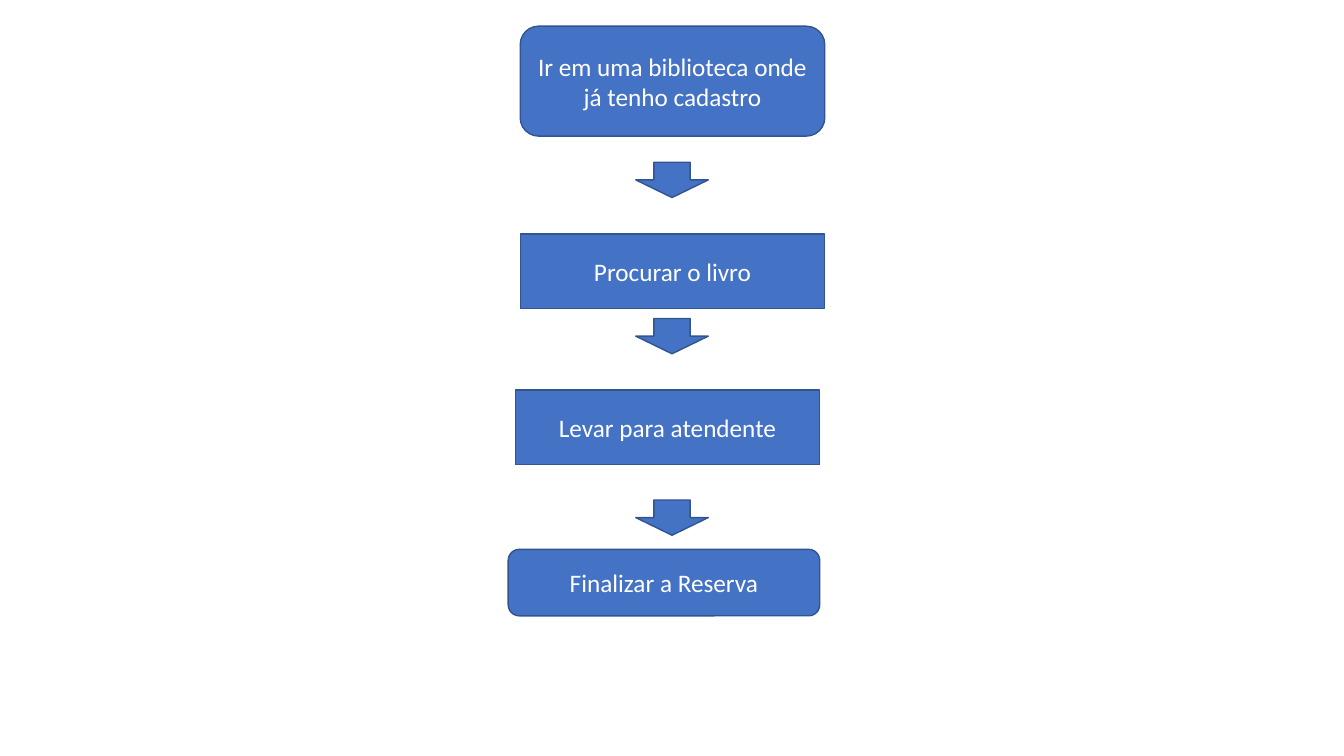
from pptx import Presentation
from pptx.dml.color import RGBColor
from pptx.enum.shapes import MSO_SHAPE
from pptx.enum.text import MSO_ANCHOR, PP_ALIGN
from pptx.util import Inches, Pt

# Content: text, shape, left, top, width, height (inches)
STEPS = [
    ("Ir em uma biblioteca onde já tenho cadastro",
     MSO_SHAPE.ROUNDED_RECTANGLE, 5.16, 0.26, 3.02, 1.09),
    ("Procurar o livro", MSO_SHAPE.RECTANGLE, 5.16, 2.32, 3.02, 0.74),
    ("Levar para atendente", MSO_SHAPE.RECTANGLE, 5.11, 3.87, 3.02, 0.74),
    ("Finalizar a Reserva",
     MSO_SHAPE.ROUNDED_RECTANGLE, 5.04, 5.45, 3.09, 0.66),
]
ARROW_TOPS = [1.61, 3.16, 4.96]

SLIDE_WIDTH, SLIDE_HEIGHT = 13.33, 7.5
ARROW_WIDTH, ARROW_HEIGHT = 0.72, 0.35
BLUE = RGBColor(0x44, 0x72, 0xC4)
DARK_BLUE = RGBColor(0x32, 0x54, 0x91)
WHITE = RGBColor(0xFF, 0xFF, 0xFF)


def add_blue_shape(page, kind, left, top, width, height):
    shape = page.shapes.add_shape(
        kind, Inches(left), Inches(top), Inches(width), Inches(height))
    shape.shadow.inherit = False
    shape.fill.solid()
    shape.fill.fore_color.rgb = BLUE
    shape.line.color.rgb = DARK_BLUE
    shape.line.width = Pt(1)
    return shape


def add_step(page, text, kind, left, top, width, height):
    box = add_blue_shape(page, kind, left, top, width, height)
    frame = box.text_frame
    frame.word_wrap = True
    frame.vertical_anchor = MSO_ANCHOR.MIDDLE
    para = frame.paragraphs[0]
    para.alignment = PP_ALIGN.CENTER
    span = para.add_run()
    span.text = text
    span.font.name = "Calibri"
    span.font.size = Pt(18)
    span.font.color.rgb = WHITE


def main():
    deck = Presentation()
    deck.slide_width = Inches(SLIDE_WIDTH)
    deck.slide_height = Inches(SLIDE_HEIGHT)
    page = deck.slides.add_slide(deck.slide_layouts[6])

    # Steps of the flow
    for step in STEPS:
        add_step(page, *step)

    # Arrows, centred across the slide
    arrow_left = (SLIDE_WIDTH - ARROW_WIDTH) / 2
    for top in ARROW_TOPS:
        add_blue_shape(page, MSO_SHAPE.DOWN_ARROW,
                       arrow_left, top, ARROW_WIDTH, ARROW_HEIGHT)

    deck.save("out.pptx")


if __name__ == "__main__":
    main()
